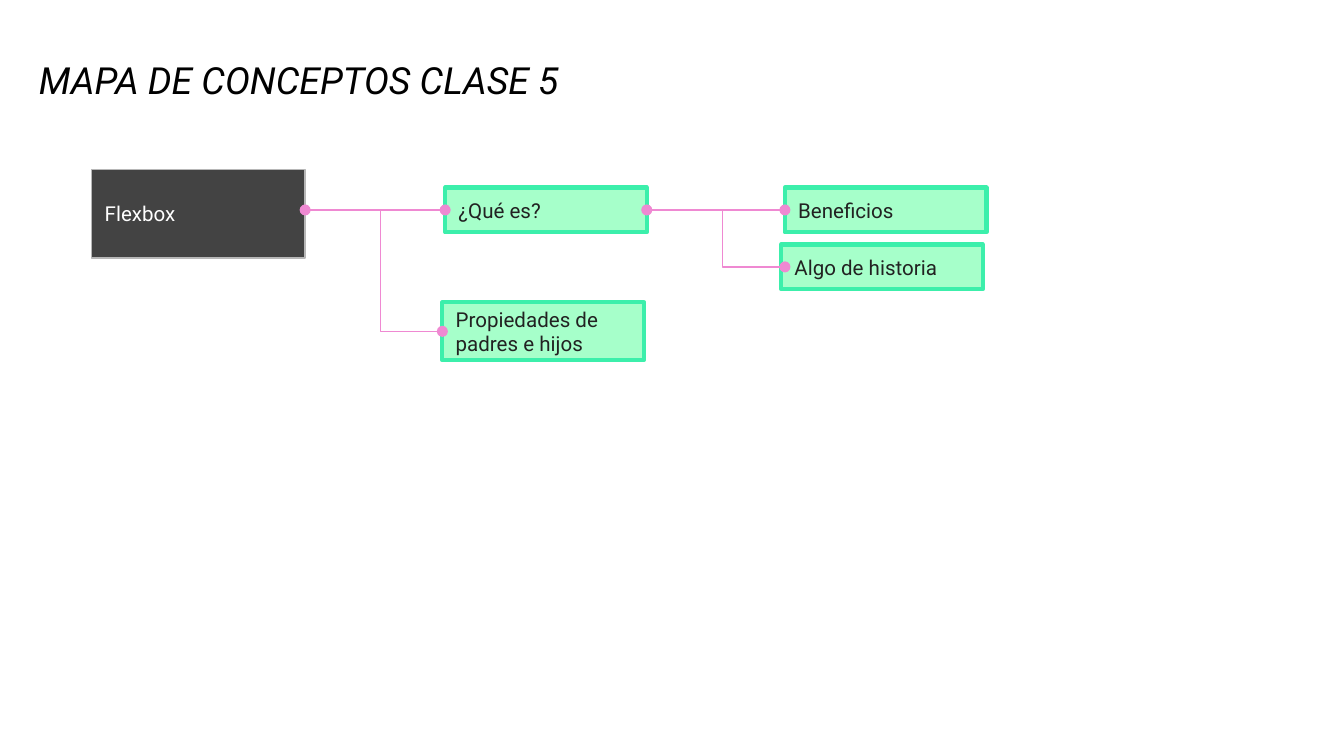
from lxml.etree import SubElement
from pptx import Presentation
from pptx.dml.color import RGBColor
from pptx.enum.shapes import MSO_CONNECTOR as Connector, MSO_SHAPE as Shape
from pptx.enum.text import MSO_ANCHOR as Anchor, MSO_AUTO_SIZE as AutoSize, PP_ALIGN as Align
from pptx.oxml.ns import qn
from pptx.util import Pt

FONT = "Roboto"
BLACK, WHITE, INK = "000000", "FFFFFF", "222222"
DARK, GRAY = "434343", "B7B7B7"
MINT, GREEN, PINK = "A6FFCA", "3CEFAB", "EF89D2"
LEFT, RIGHT = 1, 3  # connection sites of a rectangle
TOPIC_WIDTH = 108
ROW_Y = 112.5  # shared height of the straight links


def color(value):
    return RGBColor.from_string(value)


def write(frame, text, size, ink, anchor, italic=False):
    """Put one left-aligned paragraph in a text frame."""
    frame.text = text
    frame.word_wrap = True
    frame.auto_size = AutoSize.NONE
    frame.vertical_anchor = anchor
    frame.margin_left = frame.margin_right = Pt(7.2)
    frame.margin_top = frame.margin_bottom = Pt(7.2)
    para = frame.paragraphs[0]
    para.alignment = Align.LEFT
    font = para.font
    font.name, font.size, font.italic = FONT, Pt(size), italic
    font.color.rgb = color(ink)


def add_title(page, text):
    title = page.shapes.title
    title.left, title.top = Pt(13.7), Pt(28.8)
    title.width, title.height = Pt(594.7), Pt(33.1)
    write(title.text_frame, text, 20, BLACK, Anchor.BOTTOM, italic=True)


def add_box(page, text, left, top, width, height, fill, border, weight, ink):
    box = page.shapes.add_shape(Shape.RECTANGLE, Pt(left), Pt(top), Pt(width), Pt(height))
    box.shadow.inherit = False
    box.fill.solid()
    box.fill.fore_color.rgb = color(fill)
    box.line.color.rgb = color(border)
    box.line.width = Pt(weight)
    write(box.text_frame, text, 11, ink, Anchor.MIDDLE)
    return box


def add_topic(page, text, left, top, height=24):
    return add_box(page, text, left, top, TOPIC_WIDTH, height, MINT, GREEN, 2.25, INK)


def add_link(page, kind, start, end, ends):
    """Draw a pink connector with round dots at the named ends."""
    link = page.shapes.add_connector(kind, *map(Pt, (*start, *end)))
    link.line.color.rgb = color(PINK)
    link.line.width = Pt(0.75)
    outline = link.line._get_or_add_ln()
    for name in ends:
        SubElement(outline, qn(f"a:{name}"), type="oval")
    SubElement(link._element.spPr, qn("a:effectLst"))
    return link


def add_straight(page, start, end):
    return add_link(page, Connector.STRAIGHT, start, end, ("headEnd", "tailEnd"))


def add_branch(page, start, end):
    return add_link(page, Connector.ELBOW, start, end, ("tailEnd",))


def main():
    deck = Presentation()
    deck.slide_width, deck.slide_height = Pt(720), Pt(405)
    page = deck.slides.add_slide(deck.slide_layouts[5])
    add_title(page, "MAPA DE CONCEPTOS CLASE 5")

    # Concepts, from the root to the details
    add_box(page, "Flexbox", 49, 90.7, 114.5, 47.5, DARK, GRAY, 0.75, WHITE)
    meaning = add_topic(page, "¿Qué es?", 238.5, ROW_Y - 12)
    add_topic(page, "Propiedades de padres e hijos", 237, 162, 31)
    benefits = add_topic(page, "Beneficios", 420.5, ROW_Y - 12)
    add_topic(page, "Algo de historia", 418.5, 131)

    # Links along the first row
    root_link = add_straight(page, (163.5, ROW_Y), (238.5, ROW_Y))
    root_link.end_connect(meaning, LEFT)
    detail_link = add_straight(page, (346.5, ROW_Y), (420.5, ROW_Y))
    detail_link.begin_connect(meaning, RIGHT)
    detail_link.end_connect(benefits, LEFT)

    # Branches down to the second row
    add_branch(page, (170.5, ROW_Y), (237, 177.5))
    add_branch(page, (353.5, ROW_Y), (420.5, 143))

    deck.save("out.pptx")


if __name__ == "__main__":
    main()
